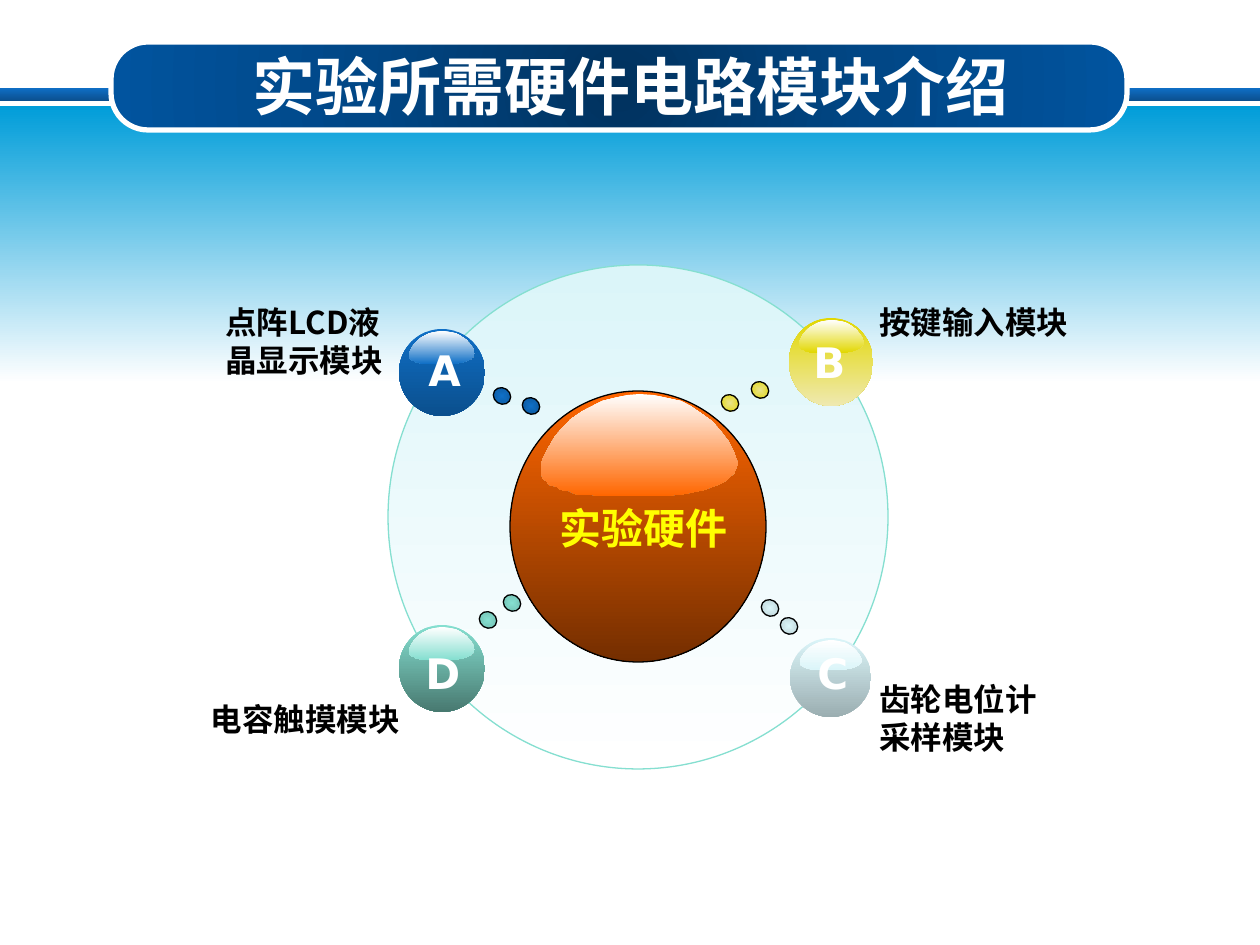
from dataclasses import dataclass
from typing import NamedTuple

from lxml import etree
from pptx import Presentation
from pptx import util as u
from pptx.dml import color
from pptx.enum import shapes, text
from pptx.oxml import ns

PX = u.Inches(1) / 126
WHITE, BLACK = "FFFFFF", "000000"
LABEL_FONT, LETTER_FONT = "Noto Sans CJK JP", "DejaVu Sans"
DOT_SIZE = (16, 18)

# Outline of the glossy highlight, in percent of its width and height.
GLOSS = [
    (98, 57), (99, 63), (100, 68), (99, 73), (98, 78), (96, 81), (94, 85), (90, 89),
    (87, 91), (83, 94), (78, 96), (73, 98), (68, 99), (62, 100), (36, 100), (31, 100),
    (26, 99), (22, 99), (17, 98), (14, 95), (10, 94), (8, 91), (4, 89), (3, 86),
    (1, 83), (0, 78), (0, 69), (1, 63), (4, 52), (7, 42), (11, 33), (15, 25),
    (21, 17), (26, 12), (31, 7), (37, 4), (44, 1), (50, 0), (57, 1), (64, 4),
    (71, 7), (76, 12), (82, 20), (87, 27), (91, 36), (95, 46),
]


class Box(NamedTuple):
    """Left, top, width and height in pixels."""
    left: int
    top: int
    width: int
    height: int

    def emu(self) -> list[int]:
        """Return the four lengths in EMU."""
        return [round(length * PX) for length in self]


@dataclass
class Module:
    """One hardware module: sphere, letter, label and linking dots."""
    letter: str
    label: str
    sphere: Box
    letter_box: Box
    label_box: Box
    sphere_colors: tuple[str, str]
    dots: list[tuple[int, int]]
    dot_colors: list[tuple[str, str]]
    align: text.PP_ALIGN = text.PP_ALIGN.LEFT


MODULES = [
    Module("D", "电容触摸模块", Box(399, 625, 86, 87), Box(413, 641, 60, 64),
           Box(184, 694, 228, 50), ("85DFD0", "487970"),
           [(480, 611), (504, 594)], [("85DFD0", "70BBAE")] * 2, text.PP_ALIGN.RIGHT),
    Module("B", "按键输入模块", Box(789, 318, 84, 88), Box(801, 330, 58, 63),
           Box(867, 297, 223, 50), ("E2D700", "EFE9B0"),
           [(752, 381), (722, 394)], [("E9E28A", "E2D700")] * 2),
    Module("C", "齿轮电位计采样模块", Box(790, 638, 81, 79), Box(805, 641, 57, 64),
           Box(867, 674, 192, 90), ("DBF5F9", "9BAEB1"),
           [(781, 617), (762, 599)], [("DBF5F9", "B8CDD1")] * 2),
    Module("A", "点阵LCD液晶显示模块", Box(399, 329, 86, 87), Box(416, 338, 58, 63),
           Box(213, 297, 197, 90), ("0F6FC6", "0B4F8D"),
           [(494, 387), (523, 397)], [("0F6FC6", "0C579C"), ("0F6FC6", "0B5191")]),
]


def rgb(code: str) -> color.RGBColor:
    """Turn a hex string into a colour."""
    return color.RGBColor.from_string(code)


def paint(shape, colors: tuple[str, ...], radial: str = "",
          line: str = "", width: float = 0.75) -> None:
    """Fill with evenly spaced colours, downward or from the centre; set the line."""
    shape.shadow.inherit = False
    shape.fill.gradient()
    if not radial:
        shape.fill.gradient_angle = 270
    gradient = shape.fill._xPr.find(ns.qn("a:gradFill"))
    stops = gradient.find(ns.qn("a:gsLst"))
    for stop in list(stops):
        stops.remove(stop)
    for index, code in enumerate(colors):
        position = str(100000 * index // (len(colors) - 1))
        stop = etree.SubElement(stops, ns.qn("a:gs"), pos=position)
        etree.SubElement(stop, ns.qn("a:srgbClr"), val=code)
    if radial:
        gradient.remove(gradient.find(ns.qn("a:lin")))
        center = etree.Element(ns.qn("a:path"), {"path": radial})
        etree.SubElement(center, ns.qn("a:fillToRect"),
                         {side: "50000" for side in "ltrb"})
        stops.addnext(center)
    if line:
        shape.line.color.rgb = rgb(line)
        shape.line.width = u.Pt(width)
    else:
        shape.line.fill.background()


def add_preset(slide, kind: shapes.MSO_SHAPE, box: Box, colors: tuple[str, ...], **style):
    """Add a painted preset shape."""
    shape = slide.shapes.add_shape(kind, *box.emu())
    paint(shape, colors, **style)
    return shape


def add_gloss(slide, box: Box, tint: str) -> None:
    """Add the highlight that fades from white to the tint."""
    left, top, width, height = box.emu()
    points = [(left + width * x // 100, top + height * y // 100) for x, y in GLOSS]
    builder = slide.shapes.build_freeform(*points[0])
    builder.add_line_segments(points[1:], close=True)
    paint(builder.convert_to_shape(), (WHITE, tint))


def write(frame, words: str, size: int, font: str, code: str, align: text.PP_ALIGN) -> None:
    """Write one bold paragraph."""
    paragraph = frame.paragraphs[0]
    paragraph.text = words
    paragraph.alignment = align
    paragraph.font.size = u.Pt(size)
    paragraph.font.name = font
    paragraph.font.bold = True
    paragraph.font.color.rgb = rgb(code)


def add_words(slide, box: Box, words: str, size: int, font: str, code: str,
              align: text.PP_ALIGN = text.PP_ALIGN.LEFT, wrap: bool = False) -> None:
    """Add a text box that grows with its text."""
    frame = slide.shapes.add_textbox(*box.emu()).text_frame
    frame.word_wrap = wrap
    frame.auto_size = text.MSO_AUTO_SIZE.SHAPE_TO_FIT_TEXT
    write(frame, words, size, font, code, align)


def add_banner(slide) -> None:
    """Draw the header bands and put the title on them."""
    kinds = shapes.MSO_SHAPE
    add_preset(slide, kinds.RECTANGLE, Box(0, 88, 1260, 13), ("0F6FC6", "0B4F8E"))
    add_preset(slide, kinds.RECTANGLE, Box(0, 106, 1260, 277), ("009DD9", WHITE))
    plate = add_preset(slide, kinds.ROUNDED_RECTANGLE, Box(111, 42, 1016, 88),
                       ("01325E", "014786", "01549F"), radial="circle", line=WHITE, width=3)
    plate.adjustments[0] = 0.42
    title = slide.shapes.title
    title.left, title.top, title.width, title.height = Box(63, 37, 1134, 97).emu()
    title.text_frame.vertical_anchor = text.MSO_ANCHOR.MIDDLE
    write(title.text_frame, "实验所需硬件电路模块介绍", 36, "Calibri", WHITE,
          text.PP_ALIGN.CENTER)
    plate._element.addnext(title._element)


def add_core(slide) -> None:
    """Draw the pale disc and the orange sphere in its middle."""
    oval = shapes.MSO_SHAPE.OVAL
    add_preset(slide, oval, Box(388, 265, 500, 504), ("DBF5F9", WHITE), line="85DFD0")
    add_preset(slide, oval, Box(510, 391, 256, 271), ("FF6600", "742E00"), line=BLACK)
    add_gloss(slide, Box(541, 394, 197, 102), "FF6600")
    add_words(slide, Box(547, 496, 197, 63), "实验硬件", 24, "Calibri", "FFFF00")


def add_module(slide, module: Module) -> None:
    """Draw one module with its dots and label."""
    oval = shapes.MSO_SHAPE.OVAL
    for place, colors in zip(module.dots, module.dot_colors):
        dot = add_preset(slide, oval, Box(*place, *DOT_SIZE), colors,
                         radial="shape", line=BLACK)
        dot.rotation = 303.8
    left, top, width, height = module.sphere
    add_preset(slide, oval, module.sphere, module.sphere_colors)
    gloss = Box(round(left + 0.12 * width), round(top + 0.02 * height),
                round(0.77 * width), round(0.38 * height))
    add_gloss(slide, gloss, module.sphere_colors[0])
    add_words(slide, module.letter_box, module.letter, 24, LETTER_FONT, WHITE)
    add_words(slide, module.label_box, module.label, 18, LABEL_FONT, BLACK,
              module.align, wrap=True)


def main() -> None:
    """Build the slide and save it."""
    deck = Presentation()
    deck.slide_width, deck.slide_height = u.Inches(10), u.Inches(7.5)
    slide = deck.slides.add_slide(deck.slide_layouts[5])
    add_banner(slide)
    add_core(slide)
    for module in MODULES:
        add_module(slide, module)
    deck.save("out.pptx")


main()
